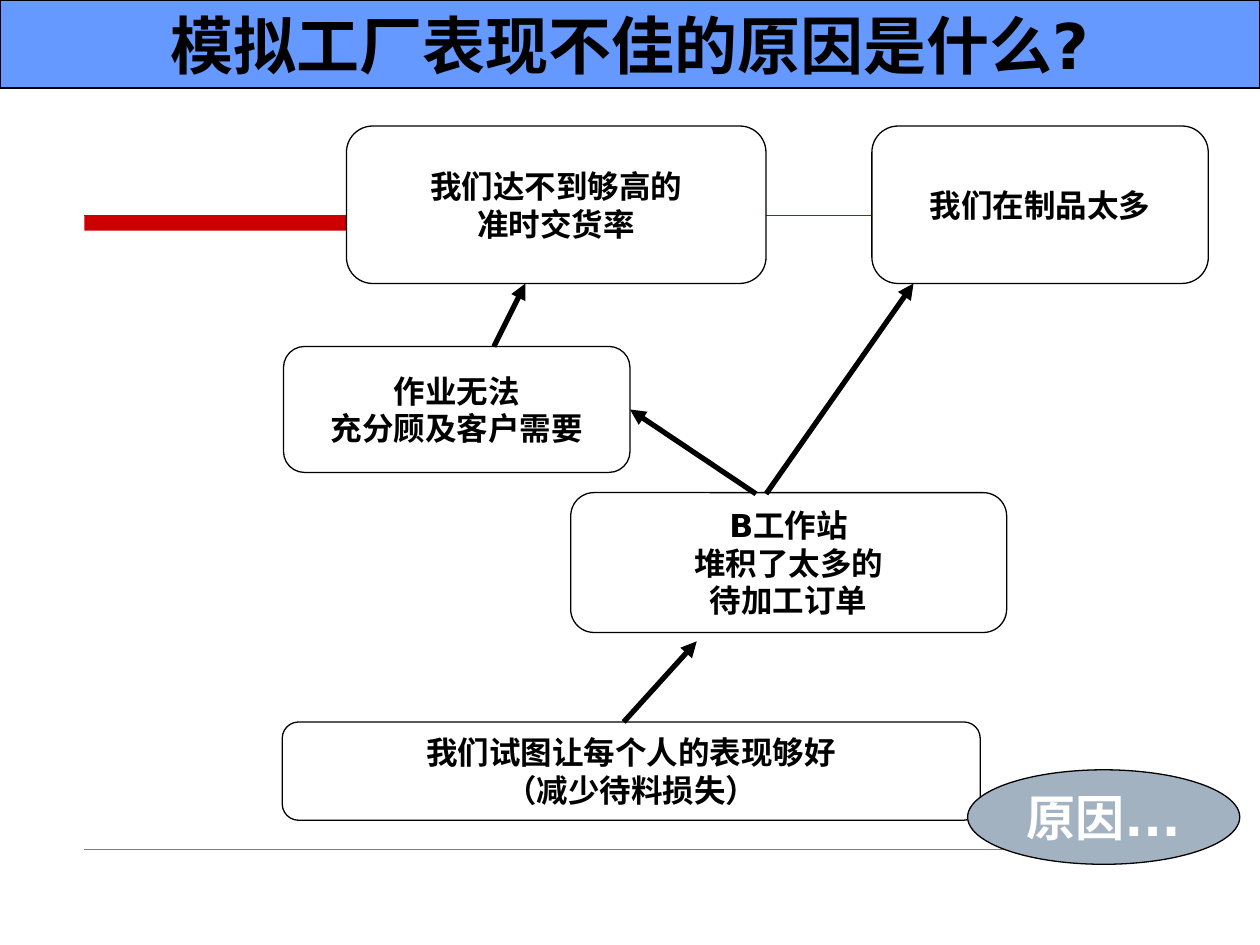
from dataclasses import dataclass

from lxml import etree
from pptx import Presentation
from pptx.dml.color import RGBColor
from pptx.enum import shapes, text
from pptx.oxml import ns
from pptx.util import Inches, Pt


@dataclass(frozen=True)
class Theme:
    font: str = "DejaVu Sans"
    ink: str = "000000"
    paper: str = "FFFFFF"
    title_fill: str = "6699FF"
    accent: str = "CC0000"
    rule: str = "808080"
    cause_fill: str = "A3B2C1"
    title_size: float = 36
    cause_size: float = 28
    body_size: float = 18
    outline: float = 0.75
    hairline: float = 0.25
    arrow: float = 3


@dataclass(frozen=True)
class Box:
    left: float
    top: float
    width: float
    height: float


THEME = Theme()
SHAPE = shapes.MSO_SHAPE


def color(value):
    return RGBColor.from_string(value)


def add_panel(slide, kind, box, fill, line=THEME.ink):
    shape = slide.shapes.add_shape(
        kind, *(Inches(n) for n in (box.left, box.top, box.width, box.height)))
    shape.shadow.inherit = False
    shape.fill.solid()
    shape.fill.fore_color.rgb = color(fill)
    if line:
        shape.line.color.rgb = color(line)
        shape.line.width = Pt(THEME.outline)
    else:
        shape.line.fill.background()
    return shape


def add_label(shape, lines, size=THEME.body_size, ink=THEME.ink, wrap=False):
    frame = shape.text_frame
    frame.word_wrap = wrap
    frame.vertical_anchor = text.MSO_ANCHOR.MIDDLE
    for index, line in enumerate(lines):
        paragraph = frame.paragraphs[0] if index == 0 else frame.add_paragraph()
        paragraph.alignment = text.PP_ALIGN.CENTER
        run = paragraph.add_run()
        run.text = line
        run.font.name = THEME.font
        run.font.size = Pt(size)
        run.font.bold = True
        run.font.color.rgb = color(ink)
        # East Asian characters use the same font
        etree.SubElement(run.font._element, ns.qn("a:ea"), typeface=THEME.font)


def add_line(slide, start, end, ink, width, arrow=False):
    line = slide.shapes.add_connector(
        shapes.MSO_CONNECTOR.STRAIGHT, *(Inches(n) for n in (*start, *end)))
    line.line.color.rgb = color(ink)
    line.line.width = Pt(width)
    if arrow:
        etree.SubElement(line.line._get_or_add_ln(), ns.qn("a:tailEnd"), type="triangle")
    etree.SubElement(line._element.spPr, ns.qn("a:effectLst"))


def add_background_rules(slide, box):
    # Heavy bar with a thin line running on, and a rule at the foot
    bar = Box(box.left, box.top, 5.09, 0.12)
    add_panel(slide, SHAPE.RECTANGLE, bar, THEME.accent, line=None)
    add_line(slide, (box.left, box.top), (box.left + box.width, box.top),
             THEME.accent, THEME.outline)
    foot = box.top + box.height
    add_line(slide, (box.left, foot), (box.left + 7.56, foot), THEME.rule, THEME.hairline)


def add_title(slide, box):
    banner = add_panel(slide, SHAPE.RECTANGLE, box, THEME.title_fill)
    add_label(banner, ["模拟工厂表现不佳的原因是什么?"], THEME.title_size, wrap=True)


def add_cause_tree(slide, box):
    # Statements, from effects at the top to the root cause at the foot
    statements = [
        (Box(0.51, 0, 3.33, 1.25), ["我们达不到够高的", "准时交货率"]),
        (Box(4.68, 0, 2.67, 1.25), ["我们在制品太多"]),
        (Box(0.01, 1.75, 2.75, 1), ["作业无法", "充分顾及客户需要"]),
        (Box(2.29, 2.91, 3.46, 1.11), ["B工作站", "堆积了太多的", "待加工订单"]),
        (Box(0, 4.73, 5.54, 0.78), ["我们试图让每个人的表现够好", "（减少待料损失）"]),
    ]
    for part, lines in statements:
        place = Box(box.left + part.left, box.top + part.top, part.width, part.height)
        add_label(add_panel(slide, SHAPE.ROUNDED_RECTANGLE, place, THEME.paper), lines)

    # Arrows from cause to effect
    arrows = [
        ((1.68, 1.75), (1.93, 1.25)),
        ((3.76, 2.92), (2.76, 2.25)),
        ((3.84, 2.92), (5.01, 1.25)),
        ((2.71, 4.73), (3.29, 4.09)),
    ]
    for ends in arrows:
        start, end = ((box.left + x, box.top + y) for x, y in ends)
        add_line(slide, start, end, THEME.ink, THEME.arrow, arrow=True)


def add_cause_badge(slide, box):
    badge = add_panel(slide, SHAPE.OVAL, box, THEME.cause_fill)
    add_label(badge, ["原因..."], THEME.cause_size, THEME.paper)


def main():
    presentation = Presentation()
    presentation.slide_width = Inches(10)
    presentation.slide_height = Inches(7.5)
    slide = presentation.slides.add_slide(presentation.slide_layouts[6])
    add_background_rules(slide, Box(0.67, 1.71, 8.7, 5.03))
    add_cause_tree(slide, Box(2.24, 1, 7.35, 5.51))
    add_title(slide, Box(0, 0, 10, 0.7))
    add_cause_badge(slide, Box(7.68, 6.11, 2.16, 0.75))
    presentation.save("out.pptx")


if __name__ == "__main__":
    main()
